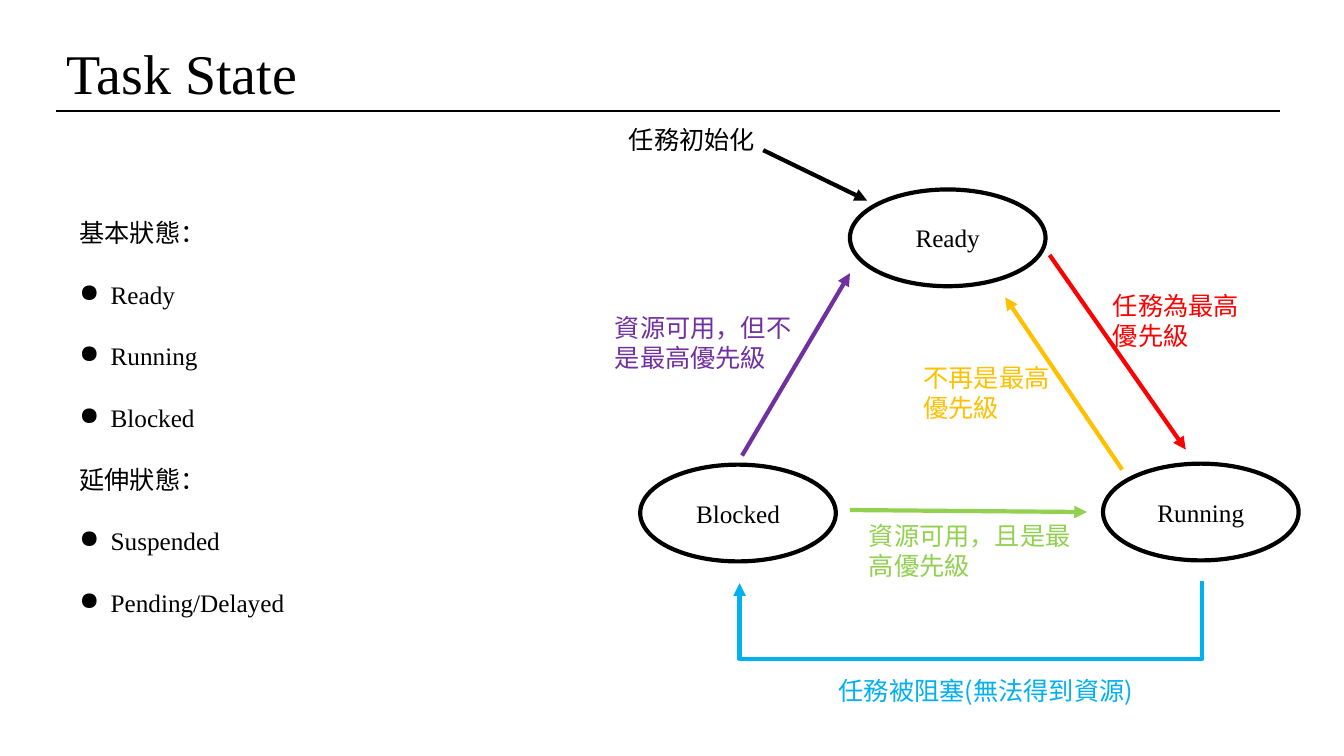
from lxml import etree
from pptx import Presentation
from pptx.dml.color import RGBColor
from pptx.enum.shapes import MSO_CONNECTOR as Link, MSO_SHAPE as Shape
from pptx.enum.text import MSO_ANCHOR as Anchor, PP_ALIGN as Align
from pptx.oxml.ns import qn
from pptx.util import Inches, Pt

SERIF, SANS = "Times New Roman", "Noto Sans CJK SC"
BLACK, RED, GOLD = "000000", "FF0000", "FFC000"
PURPLE, GREEN, BLUE = "7030A0", "92D050", "00B0F0"


def style(para, size, face, color):
    for run in para.runs:
        font = run.font
        font.size, font.name = Pt(size), face
        font.color.rgb = RGBColor.from_string(color)
        etree.SubElement(run._r.get_or_add_rPr(), qn("a:ea"), typeface=SANS)


def draw(kind, ends, color, width, arrow=True):
    line = slide.shapes.add_connector(kind, *map(Inches, ends))
    line.line.color.rgb = RGBColor.from_string(color)
    line.line.width = Pt(width)
    if arrow:
        etree.SubElement(line.line._get_or_add_ln(), qn("a:tailEnd"), type="triangle")
    etree.SubElement(line._element.spPr, qn("a:effectLst"))
    return line


deck = Presentation()
deck.slide_width, deck.slide_height = Inches(13.33), Inches(7.5)
slide = deck.slides.add_slide(deck.slide_layouts[5])

# Title and rule
title = slide.shapes.title
title.left, title.top, title.width, title.height = map(Inches, (0.56, 0.33, 5.44, 0.77))
title.text_frame.text = "Task State"
title.text_frame.vertical_anchor = Anchor.MIDDLE
title.text_frame.paragraphs[0].alignment = Align.LEFT
style(title.text_frame.paragraphs[0], 40, SERIF, BLACK)
draw(Link.STRAIGHT, (0.56, 1.1, 12.7, 1.1), BLACK, 1.5, arrow=False)

# List of states
items = ["基本狀態：", "Ready", "Running", "Blocked", "延伸狀態：", "Suspended", "Pending/Delayed"]
frame = slide.shapes.add_textbox(*map(Inches, (0.69, 2.11, 6.64, 4.04))).text_frame
frame.word_wrap = True
frame.text = "\n".join(items)
for para in frame.paragraphs:
    para.space_after = Pt(22.4)
    style(para, 18, SERIF, BLACK)
    if not para.text.endswith("："):
        props = para._p.get_or_add_pPr()
        props.set("marL", str(Inches(0.31)))
        props.set("indent", str(-Inches(0.31)))
        etree.SubElement(props, qn("a:buChar"), char="●")

# State ovals
for name, left, top in [("Ready", 8.43, 1.88), ("Blocked", 6.35, 4.61), ("Running", 10.94, 4.6)]:
    oval = slide.shapes.add_shape(Shape.OVAL, *map(Inches, (left, top, 1.94, 0.96)))
    oval.shadow.inherit = False
    oval.fill.background()
    oval.line.color.rgb = RGBColor.from_string(BLACK)
    oval.line.width = Pt(3)
    oval.text_frame.text = name
    oval.text_frame.vertical_anchor = Anchor.MIDDLE
    oval.text_frame.paragraphs[0].alignment = Align.CENTER
    style(oval.text_frame.paragraphs[0], 18, SERIF, BLACK)

# Straight transitions
for ends, color in [
    ((10.41, 2.53, 11.76, 4.46), RED),
    ((11.13, 4.66, 9.97, 2.95), GOLD),
    ((7.36, 4.52, 8.43, 2.71), PURPLE),
    ((8.43, 5.06, 10.78, 5.08), GREEN),
    ((7.57, 1.49, 8.6, 1.99), BLACK),
]:
    draw(Link.STRAIGHT, ends, color, 3)

# Bent transition from Running to Blocked, turned to run below the ovals
bent = draw(Link.ELBOW, (9.62, 3.48, 9.64, 8.07), BLUE, 3)
geom = bent._element.spPr
geom.find(qn("a:xfrm")).set("rot", "5400000")
guides = geom.find(qn("a:prstGeom")).find(qn("a:avLst"))
etree.SubElement(guides, qn("a:gd"), name="adj1", fmla="val 3850000")

# Transition labels
for text, box, color in [
    ("任務為最高優先級", (10.94, 2.83, 1.59, 0.71), RED),
    ("不再是最高優先級", (9.06, 3.54, 1.49, 0.71), GOLD),
    ("資源可用，且是最高優先級", (8.52, 5.11, 2.26, 0.71), GREEN),
    ("任務被阻塞(無法得到資源)", (8.22, 6.65, 3.4, 0.4), BLUE),
    ("資源可用，但不是最高優先級", (6, 3.05, 2.01, 0.71), PURPLE),
    ("任務初始化", (6.14, 1.18, 1.57, 0.4), BLACK),
]:
    frame = slide.shapes.add_textbox(*map(Inches, box)).text_frame
    frame.word_wrap = True
    frame.text = text
    style(frame.paragraphs[0], 18, SANS, color)

deck.save("out.pptx")
